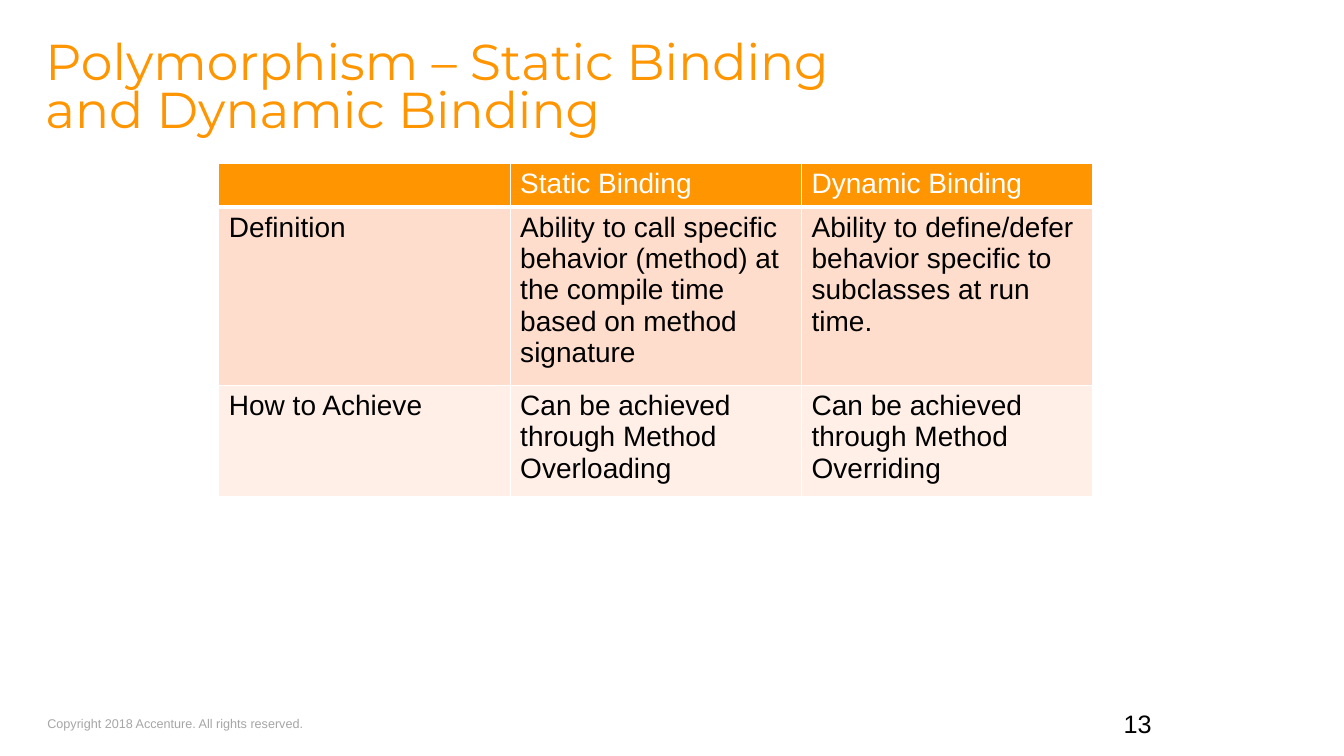
from lxml import etree
from pptx import Presentation
from pptx.dml.color import RGBColor as RGB
from pptx.enum.text import MSO_ANCHOR as ANCHOR, PP_ALIGN as ALIGN
from pptx.oxml.ns import qn
from pptx.util import Pt

PX = 9144  # EMU per px, 100 px to the inch
COLORS = {
    "orange": "FF9500",
    "peach": "FFDDCC",
    "blush": "FFEFE7",
    "white": "FFFFFF",
    "black": "000000",
    "grey": "A6A6A6",
}
ROWS = [
    ["", "Static Binding", "Dynamic Binding"],
    ["Definition",
     "Ability to call specific behavior (method) at the compile time "
     "based on method signature",
     "Ability to define/defer behavior specific to subclasses at run time."],
    ["How to Achieve",
     "Can be achieved through Method Overloading",
     "Can be achieved through Method Overriding"],
]
# Height in px, fill, text colour, top and bottom border in pt
ROW_STYLES = [
    (41, "orange", "white", 1, 3),
    (165, "peach", "black", 3, 1),
    (102, "blush", "black", 1, 1),
]


def px(*lengths):
    return [n * PX for n in lengths]


def color(name):
    return RGB.from_string(COLORS[name])


def add_run(p, text, size, fill, font="Arial"):
    r = p.add_run()
    r.text = text
    r.font.size = Pt(size)
    r.font.name = font
    r.font.color.rgb = color(fill)


def add_text(s, box, text, size, fill, font="Arial", insets=(10, 5),
             wrap=True, align=ALIGN.LEFT, anchor=ANCHOR.TOP, spacing=None):
    tf = s.shapes.add_textbox(*px(*box)).text_frame
    tf.word_wrap = wrap
    tf.vertical_anchor = anchor
    tf.margin_left = tf.margin_right = insets[0] * PX
    tf.margin_top = tf.margin_bottom = insets[1] * PX
    p = tf.paragraphs[0]
    p.alignment = align
    p.line_spacing = spacing
    add_run(p, text, size, fill, font)


def set_borders(cell, top, bottom):
    tc_pr = cell._tc.get_or_add_tcPr()
    for side, width in (("L", 1), ("R", 1), ("T", top), ("B", bottom)):
        ln = etree.SubElement(tc_pr, qn(f"a:ln{side}"), w=str(Pt(width)))
        fill = etree.SubElement(ln, qn("a:solidFill"))
        etree.SubElement(fill, qn("a:srgbClr"), val=COLORS["white"])


def add_binding_table(s, left, top, col_width):
    width = col_width * len(ROWS[0])
    height = sum(style[0] for style in ROW_STYLES)
    table = s.shapes.add_table(len(ROWS), len(ROWS[0]),
                               *px(left, top, width, height)).table
    for col in table.columns:
        col.width = col_width * PX
    for row, texts, style in zip(table.rows, ROWS, ROW_STYLES):
        row_height, fill, text_color, line_top, line_bottom = style
        row.height = row_height * PX
        for cell, text in zip(row.cells, texts):
            set_borders(cell, line_top, line_bottom)
            cell.fill.solid()
            cell.fill.fore_color.rgb = color(fill)
            if text:
                add_run(cell.text_frame.paragraphs[0], text, 20, text_color)


def main():
    prs = Presentation()
    prs.slide_width, prs.slide_height = px(1333, 750)
    s = prs.slides.add_slide(prs.slide_layouts[6])

    # Title
    add_text(s, (45, 41, 832, 109),
             "Polymorphism – Static Binding and Dynamic Binding",
             36, "orange", font="Montserrat", insets=(0, 0), spacing=0.8)

    # Comparison of the two bindings
    add_binding_table(s, left=217, top=162, col_width=289)

    # Footer
    add_text(s, (47, 705, 257, 25),
             "Copyright 2018 Accenture. All rights reserved.",
             9, "grey", insets=(0, 5), wrap=False)
    add_text(s, (967, 708, 185, 30), "13", 18, "black",
             align=ALIGN.RIGHT, anchor=ANCHOR.BOTTOM)

    prs.save("out.pptx")


if __name__ == "__main__":
    main()
